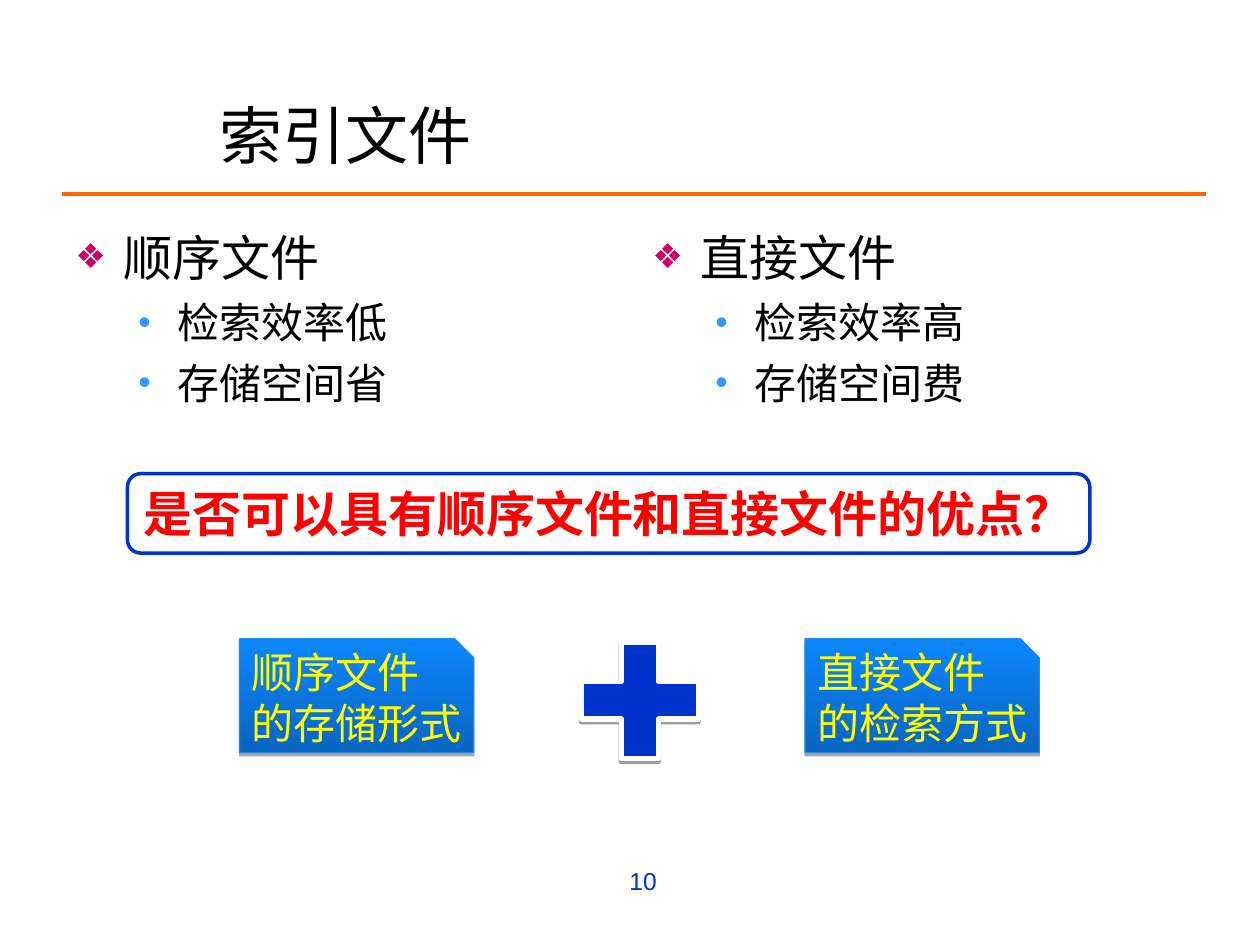
from lxml import etree
from pptx import Presentation
from pptx.dml.color import RGBColor
from pptx.enum.shapes import MSO_CONNECTOR, MSO_SHAPE
from pptx.enum.text import MSO_ANCHOR, MSO_AUTO_SIZE, PP_ALIGN
from pptx.oxml.ns import qn
from pptx.util import Cm, Pt

LEFT, RIGHT = PP_ALIGN.LEFT, PP_ALIGN.RIGHT
TOP, MIDDLE = MSO_ANCHOR.TOP, MSO_ANCHOR.MIDDLE
ROUNDED, SNIPPED, PLUS = (MSO_SHAPE.ROUNDED_RECTANGLE,
                          MSO_SHAPE.SNIP_1_RECTANGLE, MSO_SHAPE.MATH_PLUS)
TWO_CONTENT = 3
BLUE = "0033CC"
# Per list level: bullet, colour, size in %, left margin, hanging, text size, space before
LEVELS = [
    ("❖", "CC0066", 70, 0.97, 0.97, 28, 7),
    ("•", "3399FF", 85, 2.06, 0.79, 24, 6),
]


def rgb(value):
    return RGBColor.from_string(value)


def add_element(parent, tag, **attributes):
    return etree.SubElement(parent, qn(tag), {k: str(v) for k, v in attributes.items()})


def write(para, text, size=24, color="000000", bold=False, align=LEFT, before=0):
    para.alignment = align
    para.space_before = Pt(before)
    span = para.add_run()
    span.text = text
    span.font.name = "Arial"
    span.font.size = Pt(size)
    span.font.bold = bold
    span.font.color.rgb = rgb(color)


def add_bullet(para, char, color, percent, margin, hanging):
    properties = para._p.get_or_add_pPr()
    properties.set("marL", str(Cm(margin)))
    properties.set("indent", str(-Cm(hanging)))
    add_element(add_element(properties, "a:buClr"), "a:srgbClr", val=color)
    add_element(properties, "a:buSzPct", val=percent * 1000)
    add_element(properties, "a:buFont", typeface="Arial")
    add_element(properties, "a:buChar", char=char)


class SlideBuilder:
    """Holds the deck's style and the slide being built."""

    def __init__(self, deck):
        self.slide = deck.slides.add_slide(deck.slide_layouts[TWO_CONTENT])

    def place(self, box, at):
        box.left, box.top, box.width, box.height = map(Cm, at)

    def frame(self, box, anchor, wrap=True, insets=(0.25, 0.13, 0.25, 0.13)):
        frame = box.text_frame
        frame.auto_size = MSO_AUTO_SIZE.NONE
        frame.word_wrap = wrap
        frame.vertical_anchor = anchor
        (frame.margin_left, frame.margin_top,
         frame.margin_right, frame.margin_bottom) = map(Cm, insets)
        return frame

    def lines(self, frame, texts, **style):
        for index, text in enumerate(texts):
            para = frame.add_paragraph() if index else frame.paragraphs[0]
            write(para, text, **style)

    def title(self, text, at):
        box = self.slide.shapes.title
        self.place(box, at)
        self.lines(self.frame(box, MIDDLE), [text], size=36)

    def bullets(self, slot, at, items):
        """Fill a body placeholder: the first item is the heading, the rest sit below it."""
        box = self.slide.placeholders[slot]
        self.place(box, at)
        frame = self.frame(box, TOP)
        for index, text in enumerate(items):
            para = frame.add_paragraph() if index else frame.paragraphs[0]
            para.level = min(index, 1)
            *bullet, size, before = LEVELS[para.level]
            add_bullet(para, *bullet)
            write(para, text, size=size, before=before if index else 0)

    def text(self, text, at, **style):
        box = self.slide.shapes.add_textbox(*map(Cm, at))
        self.lines(self.frame(box, TOP), [text], **style)

    def rule(self, left, right, y, color, width):
        line = self.slide.shapes.add_connector(
            MSO_CONNECTOR.STRAIGHT, Cm(left), Cm(y), Cm(right), Cm(y))
        line.line.color.rgb = rgb(color)
        line.line.width = Pt(width)
        add_element(line._element.spPr, "a:effectLst")

    def shape(self, kind, at, line, width, fill=None):
        shape = self.slide.shapes.add_shape(kind, *map(Cm, at))
        shape.shadow.inherit = False
        shape.line.color.rgb = rgb(line)
        shape.line.width = Pt(width)
        if fill:
            shape.fill.solid()
            shape.fill.fore_color.rgb = rgb(fill)
        return shape

    def drop_shadow(self, shape, distance, opacity):
        effects = shape._element.spPr.find(qn("a:effectLst"))
        shadow = add_element(effects, "a:outerShdw", blurRad=0, dist=Pt(distance),
                             dir=90 * 60000, algn="ctr", rotWithShape=0)
        color = add_element(shadow, "a:srgbClr", val="000000")
        add_element(color, "a:alpha", val=opacity * 1000)

    def callout(self, text, at):
        shape = self.shape(ROUNDED, at, BLUE, 2, fill="FFFFFF")
        self.lines(self.frame(shape, MIDDLE, wrap=False), [text],
                   size=28, color="FF0000", bold=True)

    def plus(self, at):
        shape = self.shape(PLUS, at, "FFFFFF", 3, fill=BLUE)
        self.drop_shadow(shape, 1.6, 38)

    def card(self, texts, at):
        shape = self.shape(SNIPPED, at, "2787E6", 0.75)
        shape.fill.gradient()
        shape.fill.gradient_angle = 90
        for stop, color in zip(shape.fill.gradient_stops, ("0965C0", "0C86FF")):
            stop.color.rgb = rgb(color)
        self.drop_shadow(shape, 1.8, 35)
        frame = self.frame(shape, MIDDLE, wrap=False, insets=(0.25, 0, 0.05, 0.13))
        self.lines(frame, texts, color="FFFF00")


def main():
    deck = Presentation()
    deck.slide_width, deck.slide_height = Cm(25.4), Cm(19.05)
    page = SlideBuilder(deck)
    page.rule(1.24, 24.31, 3.91, "FF6600", 2.25)
    page.title("索引文件", (4.17, 1.9, 18.44, 1.63))

    columns = [
        (1.27, ["顺序文件", "检索效率低", "存储空间省"]),
        (12.9, ["直接文件", "检索效率高", "存储空间费"]),
    ]
    for slot, (left, items) in enumerate(columns, start=1):
        page.bullets(slot, (left, 4.45, 11.23, 12.57), items)

    page.text("10", (7.11, 17.32, 6.38, 1.32), size=14, color=BLUE, align=RIGHT)
    page.callout("是否可以具有顺序文件和直接文件的优点？", (2.57, 9.55, 19.4, 1.6))
    page.plus((11.3, 12.52, 3.2, 3.2))
    for left, texts in [(4.83, ["顺序文件", "的存储形式"]),
                        (16.23, ["直接文件", "的检索方式"])]:
        page.card(texts, (left, 12.88, 4.72, 2.29))
    deck.save("out.pptx")


if __name__ == "__main__":
    main()
